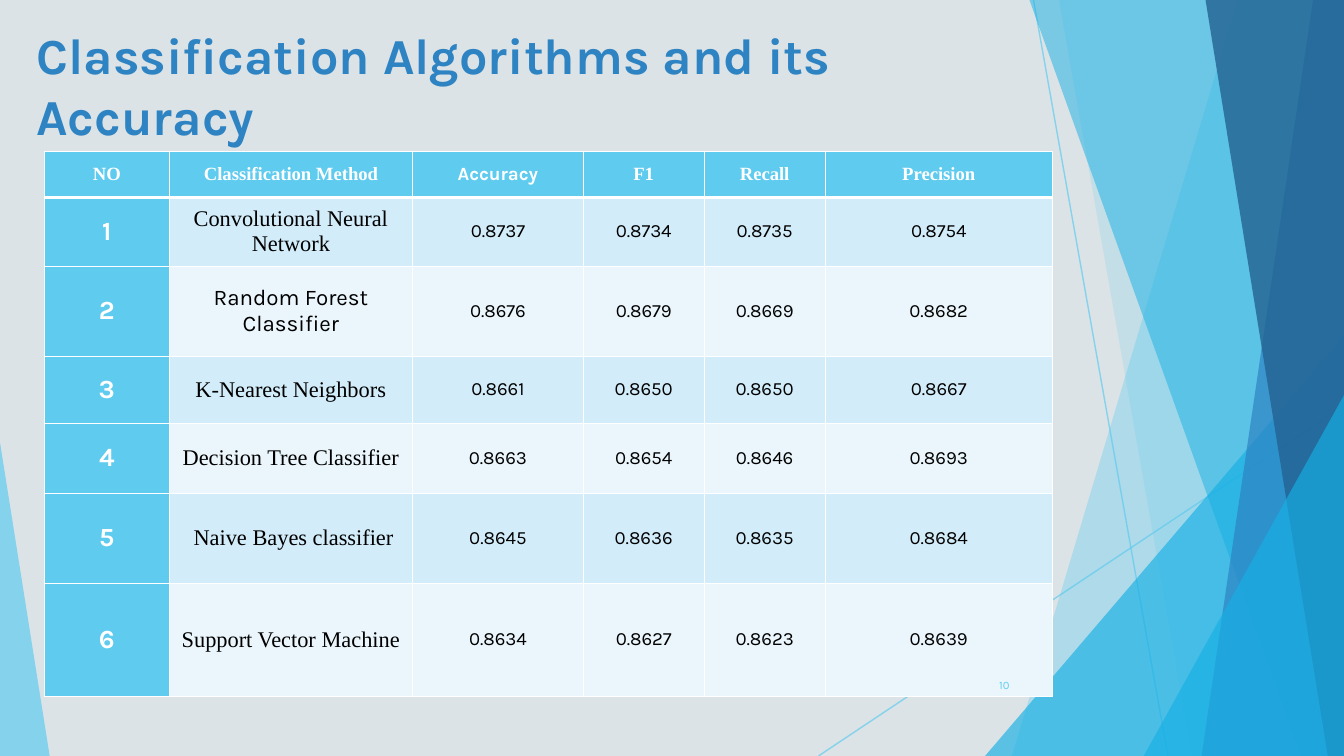
from lxml.etree import SubElement
from pptx import Presentation
from pptx.dml.color import RGBColor
from pptx.enum.shapes import MSO_CONNECTOR, MSO_SHAPE
from pptx.enum.text import MSO_ANCHOR, PP_ALIGN
from pptx.oxml.ns import qn
from pptx.util import Inches, Pt

COLORS = {
    "background": "DCE3E6", "sky": "5FCBEF", "cyan": "17B0E4",
    "blue": "2E83C3", "navy": "236292", "white": "FFFFFF",
    "black": "000000", "odd_row": "D2ECF9", "even_row": "EAF6FC",
}
SANS, SERIF = "Karla", "Times New Roman"
WIDTH = 10
HEIGHT = WIDTH * 9 / 16

HEADERS = ["NO", "Classification Method", "Accuracy", "F1", "Recall", "Precision"]
RESULTS = [
    ("Convolutional Neural Network", "0.8737", "0.8734", "0.8735", "0.8754"),
    ("Random Forest Classifier", "0.8676", "0.8679", "0.8669", "0.8682"),
    ("K-Nearest Neighbors", "0.8661", "0.8650", "0.8650", "0.8667"),
    ("Decision Tree Classifier", "0.8663", "0.8654", "0.8646", "0.8693"),
    (" Naive Bayes classifier", "0.8645", "0.8636", "0.8635", "0.8684"),
    ("Support Vector Machine", "0.8634", "0.8627", "0.8623", "0.8639"),
]
SANS_LABELS = {"Accuracy", "Random Forest Classifier"}
COLUMN_WIDTHS = [0.93, 1.81, 1.27, 0.9, 0.9, 1.69]
ROW_HEIGHTS = [0.34, 0.51, 0.67, 0.5, 0.52, 0.67, 0.84]


def rgb(name):
    return RGBColor.from_string(COLORS[name])


def set_alpha(fill_parent, percent):
    """Make the solid fill directly under an element partly transparent."""
    color = fill_parent.find(qn("a:solidFill"))[0]
    SubElement(color, qn("a:alpha"), val=str(percent * 1000))


def style_facet(shape, color, opacity):
    shape.shadow.inherit = False
    shape.fill.solid()
    shape.fill.fore_color.rgb = rgb(color)
    shape.line.fill.background()
    set_alpha(shape.element.spPr, opacity)


def add_line(slide, start, end):
    line = slide.shapes.add_connector(
        MSO_CONNECTOR.STRAIGHT, *[Inches(value) for value in start + end])
    line.line.color.rgb = rgb("sky")
    line.line.width = Pt(0.75)
    set_alpha(line.element.spPr.find(qn("a:ln")), 70)
    SubElement(line.element.spPr, qn("a:effectLst"))


def add_band(slide, top_left, bottom_left, color, opacity):
    """Add a facet that runs from a slanted left edge to the right slide edge."""
    builder = slide.shapes.build_freeform(Inches(top_left), 0, scale=1.0)
    corners = [(WIDTH, 0), (WIDTH, HEIGHT), (bottom_left, HEIGHT)]
    builder.add_line_segments([(Inches(x), Inches(y)) for x, y in corners], close=True)
    style_facet(builder.convert_to_shape(), color, opacity)


def add_triangle(slide, left, top, width, apex, color, opacity):
    """Add a triangle that stands on the bottom slide edge."""
    triangle = slide.shapes.add_shape(
        MSO_SHAPE.ISOSCELES_TRIANGLE, Inches(left), Inches(top),
        Inches(width), Inches(HEIGHT - top))
    triangle.adjustments[0] = apex
    style_facet(triangle, color, opacity)


def add_facets(slide):
    add_line(slide, (7.69, 0), (8.69, HEIGHT))
    add_line(slide, (WIDTH, 3.02), (6.09, HEIGHT))
    add_band(slide, 9.21, 7.53, "sky", 36)
    add_band(slide, 7.88, 8.87, "sky", 20)
    add_triangle(slide, 7.33, 2.5, 2.67, 1, "cyan", 66)
    add_band(slide, 7.66, 9.68, "cyan", 50)
    add_band(slide, 9.77, 8.94, "blue", 70)
    add_band(slide, 8.97, 9.88, "navy", 80)
    add_triangle(slide, 8.51, 2.94, 1.49, 1, "cyan", 66)
    add_triangle(slide, 0, 3.29, 0.37, 0, "sky", 70)


def write_text(text_frame, text, size, color, font=SANS, bold=False,
               align=PP_ALIGN.LEFT):
    text_frame.text = text
    paragraph = text_frame.paragraphs[0]
    paragraph.alignment = align
    run_font = paragraph.runs[0].font
    run_font.name, run_font.size, run_font.bold = font, Pt(size), bold
    run_font.color.rgb = rgb(color)


def place_title(slide, text):
    title = slide.shapes.title
    title.left, title.top = Inches(0.17), Inches(0.13)
    title.width, title.height = Inches(7.05), Inches(1.08)
    title.text_frame.word_wrap = True
    title.text_frame.vertical_anchor = MSO_ANCHOR.TOP
    write_text(title.text_frame, text, 27, "blue", bold=True)
    title.element.getparent().append(title.element)  # bring to front


def set_borders(cell, top, bottom):
    properties = cell._tc.get_or_add_tcPr()
    widths = {"a:lnL": 0.45, "a:lnR": 0.45, "a:lnT": top, "a:lnB": bottom}
    for index, (tag, width) in enumerate(widths.items()):
        border = SubElement(properties, qn(tag), w=str(Pt(width)))
        fill = SubElement(border, qn("a:solidFill"))
        SubElement(fill, qn("a:srgbClr"), val=COLORS["white"])
        properties.insert(index, border)  # borders come before the fill


def format_cell(cell, text, row, column):
    cell.vertical_anchor = MSO_ANCHOR.MIDDLE
    cell.margin_left = cell.margin_right = Inches(0.05)
    cell.margin_top = cell.margin_bottom = Inches(0.05)
    is_heading = row == 0 or column == 0
    is_label = row == 0 or column == 1
    if row == 0 or column > 1:
        size = 10
    else:
        size = 14 if column == 0 else 12
    write_text(cell.text_frame, text, size, "white" if is_heading else "black",
               SERIF if is_label and text not in SANS_LABELS else SANS,
               is_heading, PP_ALIGN.CENTER)
    cell.fill.solid()
    body_color = "odd_row" if row % 2 else "even_row"
    cell.fill.fore_color.rgb = rgb("sky" if is_heading else body_color)
    set_borders(cell, 1.47 if row == 1 else 0.45, 1.47 if row == 0 else 0.45)


def add_results_table(slide):
    rows = [HEADERS] + [(str(number), *result)
                        for number, result in enumerate(RESULTS, 1)]
    table = slide.shapes.add_table(
        len(rows), len(HEADERS), Inches(0.33), Inches(1.13),
        Inches(sum(COLUMN_WIDTHS)), Inches(sum(ROW_HEIGHTS))).table
    for column, width in zip(table.columns, COLUMN_WIDTHS):
        column.width = Inches(width)
    for row, height in zip(table.rows, ROW_HEIGHTS):
        row.height = Inches(height)
    for row_index, texts in enumerate(rows):
        for column_index, text in enumerate(texts):
            format_cell(table.cell(row_index, column_index), text,
                        row_index, column_index)


def add_page_number(slide, number):
    box = slide.shapes.add_textbox(Inches(7.05), Inches(4.95), Inches(0.56), Inches(0.3))
    box.text_frame.word_wrap = True
    box.text_frame.vertical_anchor = MSO_ANCHOR.MIDDLE
    write_text(box.text_frame, number, 6, "sky", align=PP_ALIGN.RIGHT)


def main():
    presentation = Presentation()
    presentation.slide_width = Inches(WIDTH)
    presentation.slide_height = Inches(HEIGHT)
    slide = presentation.slides.add_slide(presentation.slide_layouts[5])
    slide.background.fill.solid()
    slide.background.fill.fore_color.rgb = rgb("background")
    add_facets(slide)
    place_title(slide, "Classification Algorithms and its Accuracy")
    add_results_table(slide)
    add_page_number(slide, "10")
    presentation.save("out.pptx")


if __name__ == "__main__":
    main()
